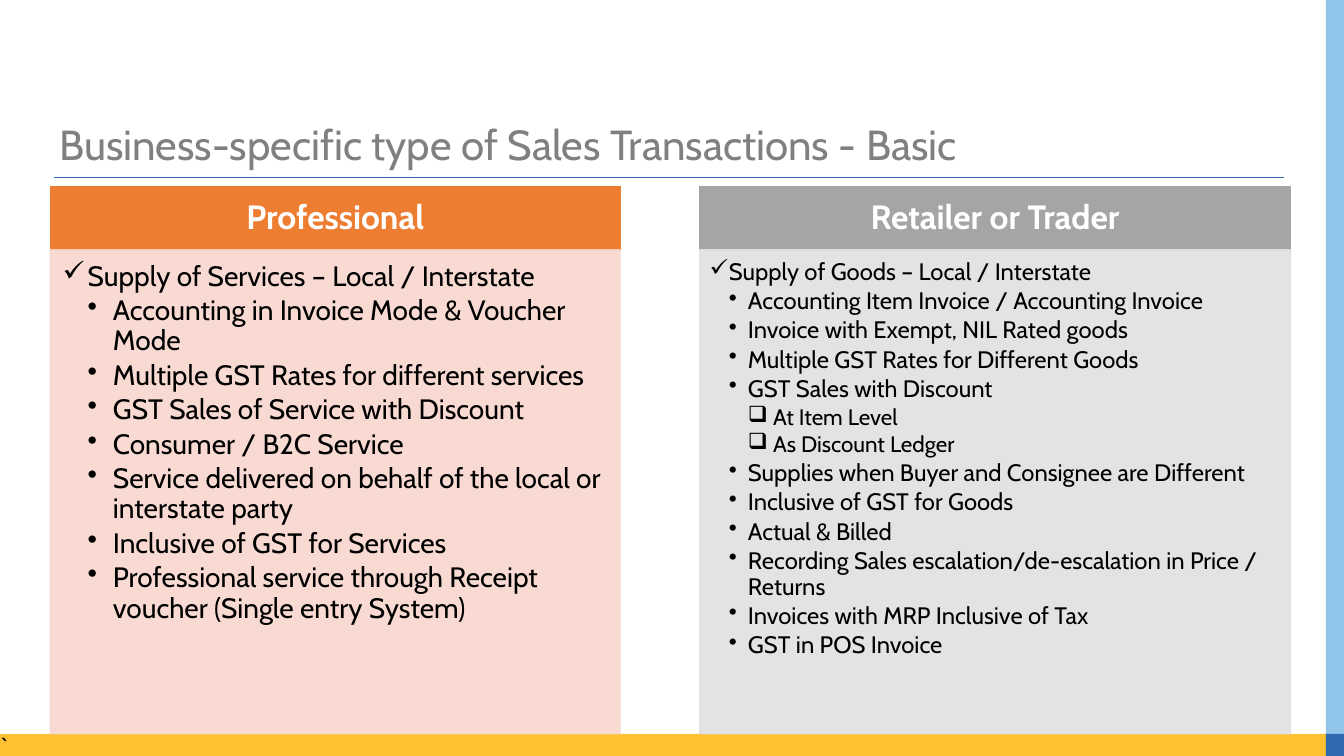
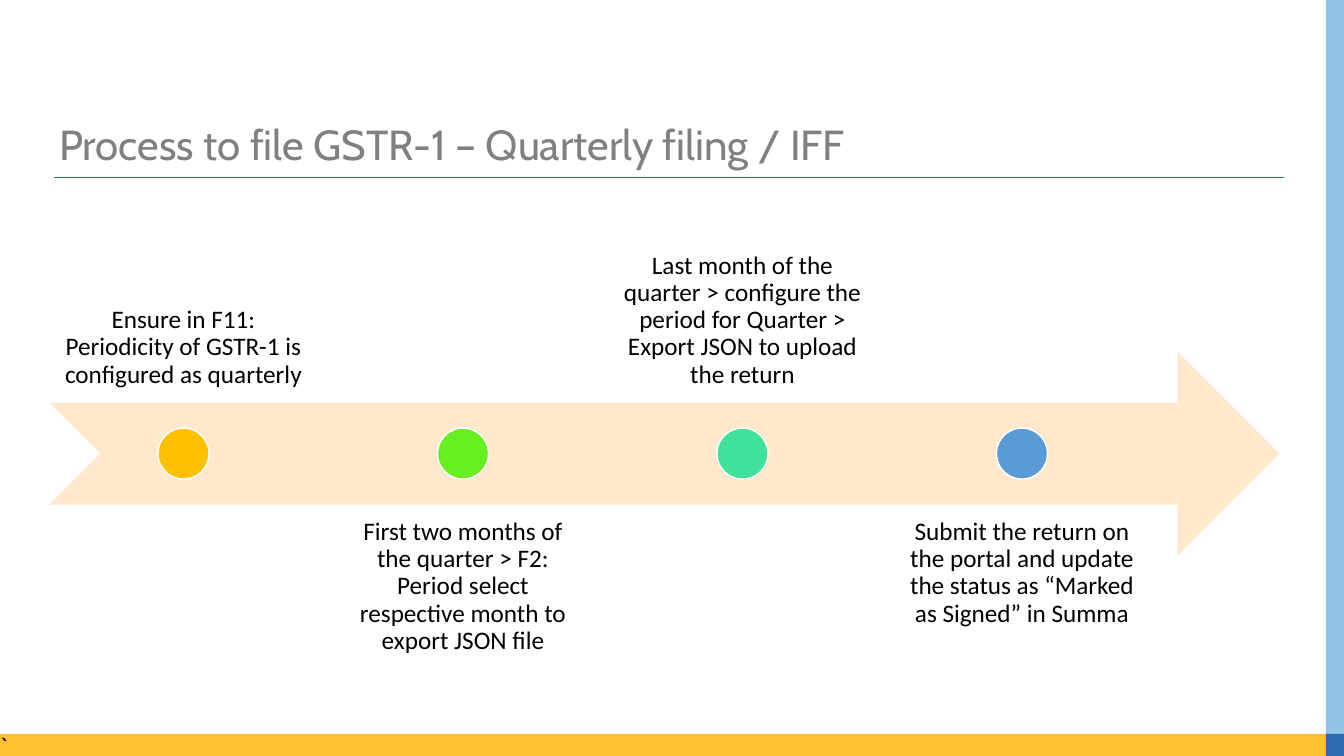
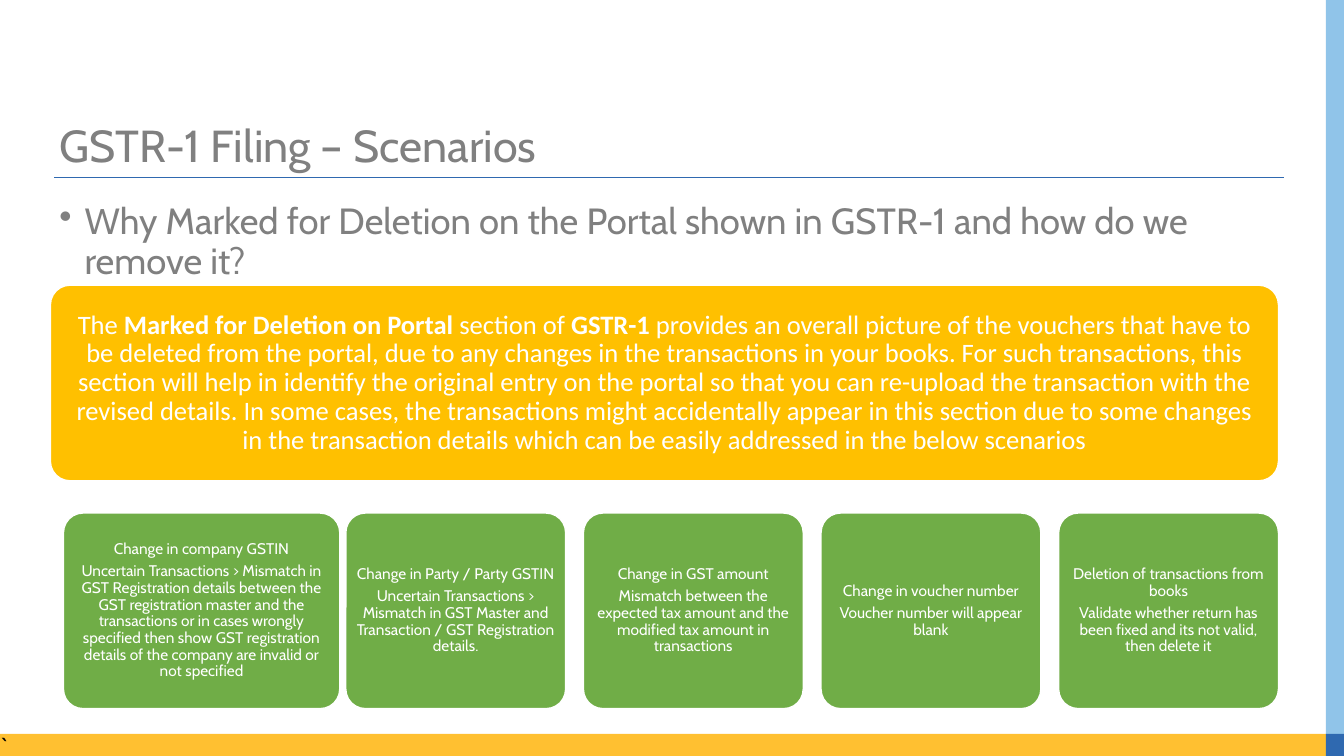
from collections import namedtuple

from lxml import etree
from pptx import Presentation
from pptx.dml.color import RGBColor
from pptx.enum.shapes import MSO_CONNECTOR, MSO_SHAPE
from pptx.enum.text import MSO_ANCHOR, PP_ALIGN
from pptx.oxml.ns import qn
from pptx.util import Inches, Pt

Box = namedtuple("Box", "left top width height")
Style = namedtuple("Style", "font size color")

# Shared look
HEADING, PLAIN = "Cabin", "Calibri"
WHITE, BLACK, GREY = "FFFFFF", "000000", "808080"
BLUE, SKY, AMBER = "2F69B0", "90C4E9", "FFC031"
GOLD, GREEN = "FFC000", "70AD47"
SLIDE = Box(0, 0, 13.33, 7.5)
TITLE = Box(0.49, 1.18, 12.2, 0.5)
CONTENT = Box(0.49, 1.97, 12.2, 5.06)
STRIP_LEFT, FOOTER_TOP = 13.15, 7.28
LINE_SPACING = 0.9


def rgb(color):
    return RGBColor.from_string(color)


def inches(box):
    return [Inches(length) for length in box]


def set_opacity(color_format_parent, percent):
    for color in color_format_parent.iter(qn("a:srgbClr")):
        etree.SubElement(color, qn("a:alpha")).set("val", str(percent * 1000))


def add_block(page, kind, box, fill, line=None, opacity=None):
    block = page.shapes.add_shape(kind, *inches(box))
    block.shadow.inherit = False
    block.fill.solid()
    block.fill.fore_color.rgb = rgb(fill)
    if line:
        block.line.color.rgb = rgb(line)
        block.line.width = Pt(1)
    else:
        block.line.fill.background()
    if opacity:
        set_opacity(block._element.spPr, opacity)
    return block


def set_frame(shape, insets=(0.1, 0.05, 0.1, 0.05), anchor=MSO_ANCHOR.TOP):
    frame = shape.text_frame
    frame.word_wrap = True
    frame.vertical_anchor = anchor
    (frame.margin_left, frame.margin_top,
     frame.margin_right, frame.margin_bottom) = inches(insets)
    return frame


def add_bullet(para, symbol, indent, hanging):
    properties = para._p.get_or_add_pPr()
    properties.set("marL", str(Inches(indent)))
    properties.set("indent", str(-Inches(hanging)))
    etree.SubElement(properties, qn("a:buChar")).set("char", symbol)


def add_para(frame, spans, style, align=PP_ALIGN.LEFT, after=0, bullet=None, level=0):
    """Each span is a pair of text and boldness; after is a share of the text size."""
    first = frame.paragraphs[0]
    para = frame.add_paragraph() if first.runs else first
    if bullet:
        add_bullet(para, *bullet)
    para.level = level
    para.alignment = align
    para.line_spacing = LINE_SPACING
    para.space_after = Pt(round(style.size * after, 1))
    for text, bold in spans:
        span = para.add_run()
        span.text = text
        span.font.name = style.font
        span.font.size = Pt(style.size)
        span.font.bold = bold
        span.font.color.rgb = rgb(style.color)


def add_text_box(page, box, **frame_options):
    return set_frame(page.shapes.add_textbox(*inches(box)), **frame_options)


def add_page(deck, title, title_size=30):
    """Slide with the rule, footer band, side strip and title."""
    page = deck.slides.add_slide(deck.slide_layouts[6])
    rule = page.shapes.add_connector(
        MSO_CONNECTOR.STRAIGHT, *inches((0.54, 1.76, 12.73, 1.76)))
    rule.line.color.rgb = rgb(BLUE)
    rule.line.width = Pt(0.82)
    etree.SubElement(rule._element.spPr, qn("a:effectLst"))

    strip_width = SLIDE.width - STRIP_LEFT
    footer_height = SLIDE.height - FOOTER_TOP
    footer = add_block(page, MSO_SHAPE.RECTANGLE,
                       Box(0, FOOTER_TOP, STRIP_LEFT, footer_height), AMBER)
    add_para(set_frame(footer, (0, 0, 0, 0)), [("`", False)], Style(PLAIN, 18, BLACK))
    add_block(page, MSO_SHAPE.RECTANGLE, Box(STRIP_LEFT, 0, strip_width, FOOTER_TOP), SKY)
    add_block(page, MSO_SHAPE.RECTANGLE,
              Box(STRIP_LEFT, FOOTER_TOP, strip_width, footer_height), BLUE)

    add_para(add_text_box(page, TITLE), [(title, False)], Style(HEADING, title_size, GREY))
    return page


# Slide 1: two panels with checklists
def add_panel(page, box, heading, items, colors, size, step, insets):
    header_color, body_color = colors
    header_height = 0.63
    header = add_block(page, MSO_SHAPE.RECTANGLE, box._replace(height=header_height),
                       header_color, header_color)
    add_para(set_frame(header, (0.19, 0.11, 0.19, 0.11), MSO_ANCHOR.MIDDLE),
             [(heading, True)], Style(HEADING, 24, WHITE), PP_ALIGN.CENTER)

    body_box = Box(box.left, box.top + header_height, box.width, box.height - header_height)
    body = add_block(page, MSO_SHAPE.RECTANGLE, body_box, body_color, body_color, opacity=90)
    frame = set_frame(body, insets)
    levels = {
        1: ("✓", step, step, size),
        2: ("•", 2 * step, step, size),
        3: ("❑", 0.63, 0.25, size - 1),
    }
    for level, text in items:
        *bullet, text_size = levels[level]
        add_para(frame, [(text, False)], Style(HEADING, text_size, BLACK),
                 after=0.15, bullet=bullet, level=level)


def build_transactions(deck):
    page = add_page(deck, "Business-specific type of Sales Transactions - Basic")
    add_panel(page, Box(0.5, 1.85, 5.65, 5.43), "Professional", [
        (1, "Supply of Services – Local / Interstate"),
        (2, "Accounting in Invoice Mode & Voucher Mode"),
        (2, "Multiple GST Rates for different services"),
        (2, "GST Sales of Service with Discount"),
        (2, "Consumer / B2C Service"),
        (2, "Service delivered on behalf of the local or interstate party"),
        (2, "Inclusive of GST for Services"),
        (2, "Professional service through Receipt voucher (Single entry System)"),
    ], ("ED7D31", "F8D7CE"), 20, 0.25, (0.12, 0.12, 0.16, 0.17))
    add_panel(page, Box(6.94, 1.85, 5.86, 5.43), "Retailer or Trader", [
        (1, "Supply of Goods – Local / Interstate"),
        (2, "Accounting Item Invoice / Accounting Invoice"),
        (2, "Invoice with Exempt, NIL Rated goods"),
        (2, "Multiple GST Rates for Different Goods"),
        (2, "GST Sales with Discount"),
        (3, "At Item Level"),
        (3, "As Discount Ledger"),
        (2, "Supplies when Buyer and Consignee are Different"),
        (2, "Inclusive of GST for Goods"),
        (2, "Actual & Billed"),
        (2, "Recording Sales escalation/de-escalation in Price / Returns"),
        (2, "Invoices with MRP Inclusive of Tax"),
        (2, "GST in POS Invoice"),
    ], ("A5A5A5", "E1E1E1"), 17, 0.19, (0.1, 0.1, 0.13, 0.15))


# Slide 2: timeline on an arrow, labels above and below in turn
def add_timeline(page, box, steps):
    band = 0.4 * box.height
    arrow_top = box.top + 0.3 * box.height
    marker = band / 4
    label_width = 2.64
    pitch = 1.05 * label_width
    add_block(page, MSO_SHAPE.NOTCHED_RIGHT_ARROW,
              Box(box.left, arrow_top, box.width, band), "FFE8CC")
    for index, (text, color) in enumerate(steps):
        left = box.left + 0.01 + index * pitch
        below = index % 2 == 1
        top = box.top + (0.6 * box.height if below else 0)
        frame = add_text_box(page, Box(left, top, label_width, band), insets=(0.14,) * 4,
                             anchor=MSO_ANCHOR.TOP if below else MSO_ANCHOR.BOTTOM)
        add_para(frame, [(text, False)], Style(PLAIN, 18, BLACK), PP_ALIGN.CENTER)
        add_block(page, MSO_SHAPE.OVAL,
                  Box(left + (label_width - marker) / 2, arrow_top + (band - marker) / 2,
                      marker, marker), color, WHITE)


def build_process(deck):
    page = add_page(deck, "Process to file GSTR-1 – Quarterly filing / IFF")
    add_timeline(page, CONTENT, [
        ("Ensure in F11: Periodicity of GSTR-1 is configured as quarterly", GOLD),
        ("First two months of the quarter > F2: Period select respective month "
         "to export JSON file", "67EF21"),
        ("Last month of the quarter > configure the period for Quarter > "
         "Export JSON to upload the return", "3FE19B"),
        ("Submit the return on the portal and update the status as "
         "“Marked as Signed” in Summa", "5B9BD5"),
    ])


# Slide 3: question, explanation and scenario cards
def add_card(page, box, fill, paragraphs, style, inset):
    card = add_block(page, MSO_SHAPE.ROUNDED_RECTANGLE, box, fill, WHITE)
    card.adjustments[0] = 0.1
    frame = set_frame(card, (inset,) * 4, MSO_ANCHOR.MIDDLE)
    for index, spans in enumerate(paragraphs):
        is_last = index == len(paragraphs) - 1
        add_para(frame, spans, style, PP_ALIGN.CENTER, after=0 if is_last else 0.35)


def add_scenarios(page, box, scenarios):
    """A wide first card, then equal cards spread to the right edge."""
    first_width, width, first_gap = 2.74, 2.18, 0.06
    second_left = box.left + first_width + first_gap
    last_left = box.left + box.width - width
    pitch = (last_left - second_left) / (len(scenarios) - 2)
    for index, texts in enumerate(scenarios):
        if index == 0:
            card_box = box._replace(width=first_width)
        else:
            card_box = box._replace(left=second_left + (index - 1) * pitch, width=width)
        add_card(page, card_box, GREEN, [[(text, False)] for text in texts],
                 Style(HEADING, 11, WHITE), 0.05)


def build_scenarios(deck):
    page = add_page(deck, "GSTR-1 Filing – Scenarios", 32)
    add_para(add_text_box(page, CONTENT._replace(width=12.34)),
             [("Why Marked for Deletion on the Portal shown in GSTR-1 "
               "and how do we remove it?", False)],
             Style(HEADING, 26, GREY), bullet=("•", 0.25, 0.25))
    add_card(page, Box(0.5, 2.83, 12.18, 1.94), GOLD, [[
        ("The ", False),
        ("Marked for Deletion on Portal", True),
        (" section of ", False),
        ("GSTR-1", True),
        (" provides an overall picture of the vouchers that have to be deleted from the "
         "portal, due to any changes in the transactions in your books. For such "
         "transactions, this section will help in identify the original entry on the "
         "portal so that you can re-upload the transaction with the revised details. In "
         "some cases, the transactions might accidentally appear in this section due to "
         "some changes in the transaction details which can be easily addressed in the "
         "below scenarios", False),
    ]], Style(PLAIN, 19, WHITE), 0.08)
    add_scenarios(page, Box(0.63, 5.09, 12.05, 1.94), [
        ("Change in company GSTIN",
         "Uncertain Transactions > Mismatch in GST Registration details between the GST "
         "registration master and the transactions or in cases wrongly specified then show "
         "GST registration details of the company are invalid or not specified"),
        ("Change in Party / Party GSTIN",
         "Uncertain Transactions > Mismatch in GST Master and Transaction / "
         "GST Registration details."),
        ("Change in GST amount",
         "Mismatch between the expected tax amount and the modified tax amount "
         "in transactions"),
        ("Change in voucher number", "Voucher number will appear blank"),
        ("Deletion of transactions from books",
         "Validate whether return has been fixed and its not valid, then delete it"),
    ])


def main():
    deck = Presentation()
    deck.slide_width = Inches(SLIDE.width)
    deck.slide_height = Inches(SLIDE.height)
    build_transactions(deck)
    build_process(deck)
    build_scenarios(deck)
    deck.save("out.pptx")


if __name__ == "__main__":
    main()
